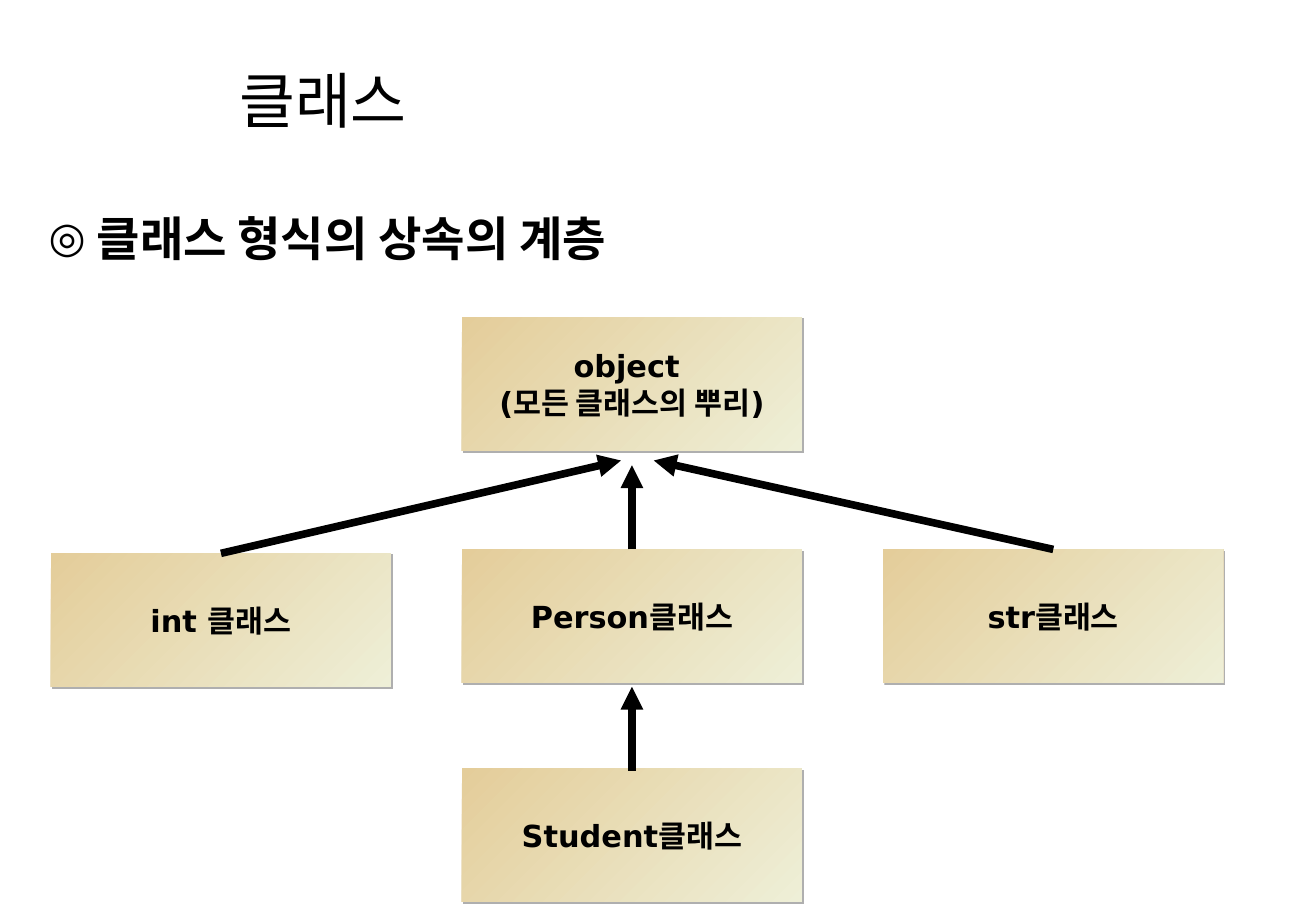
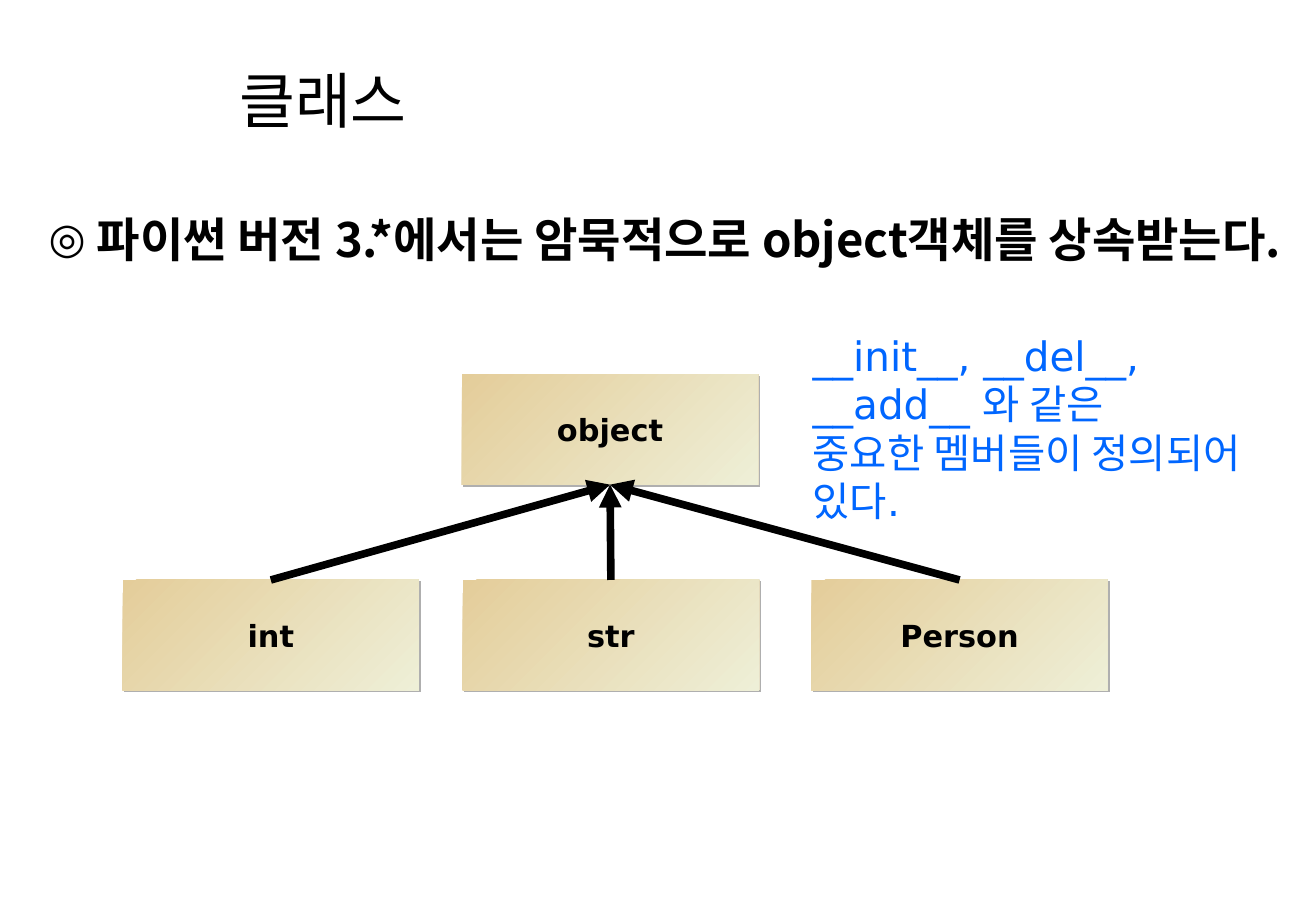
import pptx
import pptx.util
import pptx.dml.color
import pptx.enum.shapes
import pptx.enum.text
import pptx.oxml
import pptx.oxml.ns

Pt = pptx.util.Pt
Shape = pptx.enum.shapes.MSO_SHAPE
Link = pptx.enum.shapes.MSO_CONNECTOR
Anchor = pptx.enum.text.MSO_ANCHOR
Align = pptx.enum.text.PP_ALIGN
Size = pptx.enum.text.MSO_AUTO_SIZE

HANGUL, LATIN = "Noto Sans CJK KR", "DejaVu Sans"
BLACK, BLUE, SHADE = "000000", "0066FF", "AFAFAF"
SAND, CREAM = "E4CD9A", "EEEFD7"


def color(code):
    return pptx.dml.color.RGBColor.from_string(code)


def add_xml(parent, tag, inner="", **attrs):
    """Append one drawing element to parent."""
    pairs = "".join(f' {key}="{value}"' for key, value in attrs.items())
    space = pptx.oxml.ns.nsdecls("a")
    parent.append(pptx.oxml.parse_xml(
        f"<a:{tag} {space}{pairs}>{inner}</a:{tag}>"))


def write(para, text, size, font, bold=False, code=BLACK):
    run = para.add_run()
    run.text = text
    run.font.size = Pt(size)
    run.font.name = font
    run.font.bold = bold
    run.font.color.rgb = color(code)


def write_lines(frame, lines, size, align, **style):
    for index, line in enumerate(lines):
        para = frame.add_paragraph() if index else frame.paragraphs[0]
        para.alignment = align
        write(para, line, size, LATIN, **style)


def place(shape, x, y, w, h):
    shape.left, shape.top, shape.width, shape.height = map(Pt, (x, y, w, h))


def set_frame(frame, side=7.2, anchor=Anchor.TOP, wrap=True):
    frame.margin_left = frame.margin_right = Pt(side)
    frame.margin_top = frame.margin_bottom = Pt(3.6)
    frame.vertical_anchor = anchor
    frame.word_wrap = wrap
    frame.auto_size = Size.NONE


def add_title(slide, text):
    title = slide.shapes.title
    place(title, 134.6, 40.3, 533, 44)
    set_frame(title.text_frame)
    para = title.text_frame.paragraphs[0]
    para.alignment = Align.LEFT
    para.line_spacing = 0.85
    write(para, text, 36, HANGUL)


def add_point(slide, text, x, y, w, h):
    """Fill the body placeholder with one bulleted line."""
    body = slide.placeholders[1]
    place(body, x, y, w, h)
    set_frame(body.text_frame)
    para = body.text_frame.paragraphs[0]
    props = para._p.get_or_add_pPr()
    props.set("marL", str(Pt(28.5)))
    props.set("indent", str(-Pt(28.5)))
    add_xml(props, "buClr", f'<a:srgbClr val="{BLACK}"/>')
    add_xml(props, "buSzPct", val=90000)
    add_xml(props, "buChar", char="◎")
    para.line_spacing = 1.2
    para.space_before = Pt(0)
    write(para, text, 28, HANGUL, bold=True)


def add_page(deck, title, point, box):
    slide = deck.slides.add_slide(deck.slide_layouts[1])
    add_title(slide, title)
    add_point(slide, point, *box)
    return slide


def add_node(slide, lines, x, y, w, h):
    node = slide.shapes.add_shape(Shape.RECTANGLE, *map(Pt, (x, y, w, h)))
    node.fill.gradient()
    node.fill.gradient_angle = 315
    for stop, code in zip(node.fill.gradient_stops, (SAND, CREAM)):
        stop.color.rgb = color(code)
    node.line.fill.background()
    node.shadow.inherit = False
    effects = node._element.spPr.find(pptx.oxml.ns.qn("a:effectLst"))
    add_xml(effects, "outerShdw", f'<a:srgbClr val="{SHADE}"/>',
            dist=Pt(1.4), dir=45 * 60000, algn="ctr", rotWithShape=0)
    set_frame(node.text_frame, 14.4, Anchor.MIDDLE)
    write_lines(node.text_frame, lines, 18, Align.CENTER, bold=True)


def add_arrow(slide, start, end):
    arrow = slide.shapes.add_connector(
        Link.STRAIGHT, *map(Pt, (*start, *end)))
    arrow.line.color.rgb = color(BLACK)
    arrow.line.width = Pt(4.5)
    props = arrow._element.spPr
    add_xml(props.find(pptx.oxml.ns.qn("a:ln")), "tailEnd", type="triangle")
    add_xml(props, "effectLst")


def add_tree(slide, root, kids, size, tips):
    """Draw a root and its kids, each a (lines, x, y), with arrows upward.

    Each tip is an offset from the middle of the root's lower edge.
    """
    w, h = size
    left, top = root[1:]
    for lines, x, y in (root, *kids):
        add_node(slide, lines, x, y, w, h)
    for (lines, x, y), (dx, dy) in zip(kids, tips):
        add_arrow(slide, (x + w / 2, y),
                  (left + w / 2 + dx, top + h + dy))


def add_note(slide, lines, x, y, w, h):
    note = slide.shapes.add_textbox(*map(Pt, (x, y, w, h)))
    set_frame(note.text_frame, wrap=False)
    write_lines(note.text_frame, lines, 24, Align.LEFT, code=BLUE)


def add_levels(deck):
    slide = add_page(deck, "클래스", "클래스 형식의 상속의 계층",
                     (21.6, 114, 692.6, 47.5))
    w, h = 201.6, 79.2
    mid, row = 273.8, 325.7
    kids = [(["int 클래스"], 30.2, row + 2.3),
            (["Person클래스"], mid, row),
            (["str클래스"], 523.6, row)]
    add_tree(slide, (["object ", "(모든 클래스의 뿌리)"], mid, 188), kids,
             (w, h), [(-6.5, 5.8), (0, 8.6), (13, 5.8)])
    add_node(slide, ["Student클래스"], mid, 455.5, w, h)
    add_arrow(slide, (mid + w / 2, 457), (mid + w / 2, row + h + 2.2))


def add_implied(deck):
    slide = add_page(
        deck, "클래스",
        "파이썬 버전 3.*에서는 암묵적으로 object객체를 상속받는다.",
        (21.6, 114.5, 758.5, 87.8))
    row = 343.8
    kids = [(["int"], 72.7, row), (["str"], 274.3, row),
            (["Person"], 481, row)]
    add_tree(slide, (["object"], 273.8, 222), kids, (175.7, 65.3),
             [(0, 0)] * 3)
    add_note(slide, ["__init__, __del__,", "__add__ 와 같은",
                     "중요한 멤버들이 정의되어", "있다."],
             474.7, 192.5, 277.2, 122.4)


def main():
    deck = pptx.Presentation()
    deck.slide_width, deck.slide_height = Pt(780.13), Pt(540)
    add_levels(deck)
    add_implied(deck)
    deck.save("out.pptx")


if __name__ == "__main__":
    main()
